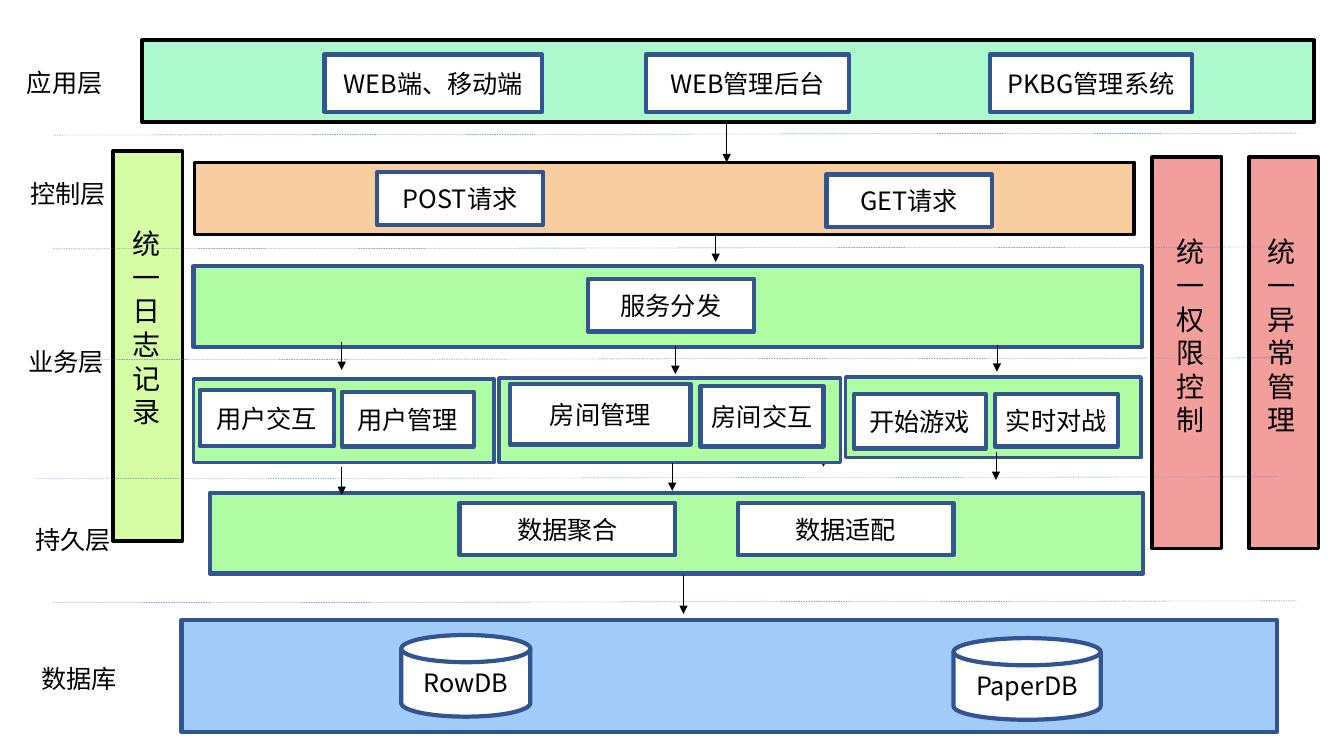
import pptx
import pptx.util
import pptx.dml.color
import pptx.enum.dml
import pptx.enum.shapes
import pptx.enum.text
import pptx.oxml.ns
from lxml import etree

Pt = pptx.util.Pt
Kind = pptx.enum.shapes.MSO_SHAPE
Align = pptx.enum.text.PP_ALIGN
qn = pptx.oxml.ns.qn

BLACK, NAVY, BLUE, WHITE = "000000", "325491", "4472C4", "FFFFFF"
MINT, PEACH, LIME = "ADF9CE", "F8CEA0", "D6FDA4"
PINK, GREEN, SKY = "F29E9C", "B0FCA3", "A3CBFA"


def color(code):
    return pptx.dml.color.RGBColor.from_string(code)


class Board:
    font = "Noto Sans CJK SC"

    def __init__(self, deck):
        self.slide = deck.slides.add_slide(deck.slide_layouts[6])
        self.shapes = self.slide.shapes

    def words(self, frame, text, size, align):
        para = frame.paragraphs[0]
        para.alignment = align
        run = para.add_run()
        run.text = text
        for name, value in {"name": self.font, "size": Pt(size)}.items():
            setattr(run.font, name, value)
        run.font.color.rgb = color(BLACK)
        east = etree.SubElement(run._r.get_or_add_rPr(), qn("a:ea"))
        east.set("typeface", self.font)

    def bar(self, x, y, w, h, fill, edge=NAVY, width=3, kind=Kind.RECTANGLE):
        shape = self.shapes.add_shape(kind, Pt(x), Pt(y), Pt(w), Pt(h))
        shape.shadow.inherit = False
        shape.fill.solid()
        shape.fill.fore_color.rgb = color(fill)
        shape.line.color.rgb = color(edge)
        shape.line.width = Pt(width)
        return shape

    def box(self, text, x, y, w, h, kind=Kind.RECTANGLE):
        frame = self.bar(x, y, w, h, WHITE, kind=kind).text_frame
        style = {
            "word_wrap": True,
            "vertical_anchor": pptx.enum.text.MSO_ANCHOR.MIDDLE,
            "margin_left": Pt(3),
            "margin_right": Pt(3),
        }
        for name, value in style.items():
            setattr(frame, name, value)
        self.words(frame, text, 18, Align.CENTER)

    def label(self, text, x, y, w=115.9, h=28.8, size=18):
        frame = self.shapes.add_textbox(Pt(x), Pt(y), Pt(w), Pt(h)).text_frame
        style = {
            "word_wrap": True,
            "auto_size": pptx.enum.text.MSO_AUTO_SIZE.SHAPE_TO_FIT_TEXT,
        }
        for name, value in style.items():
            setattr(frame, name, value)
        self.words(frame, text, size, Align.LEFT)

    def line(self, x, y, dx, dy, edge, width):
        link = self.shapes.add_connector(
            pptx.enum.shapes.MSO_CONNECTOR.STRAIGHT,
            Pt(x), Pt(y), Pt(x + dx), Pt(y + dy))
        link.line.color.rgb = color(edge)
        link.line.width = Pt(width)
        etree.SubElement(link._element.spPr, qn("a:effectLst"))
        return link

    def arrow(self, x, y, drop=20.2):
        link = self.line(x, y, 0, drop, BLACK, 0.5)
        stroke = link._element.spPr.find(qn("a:ln"))
        etree.SubElement(stroke, qn("a:tailEnd")).set("type", "triangle")

    def dash(self, x, y):
        link = self.line(x, y, 887.8, -1.4, BLUE, 0.25)
        link.line.dash_style = pptx.enum.dml.MSO_LINE.DASH


def main():
    deck = pptx.Presentation()
    deck.slide_width, deck.slide_height = Pt(960), Pt(540)
    board = Board(deck)

    # Arrow mostly covered by the room group
    board.arrow(588.2, 313.2)

    # Layer bars and groups
    for bar in (
        (101.5, 28.8, 837.4, 58.3, MINT, BLACK),
        (139, 115.9, 671, 51.8, PEACH, BLACK, 2.5),
        (138.2, 190.1, 677.5, 57.6, GREEN),
        (138.2, 270.7, 214.6, 59.8, GREEN, NAVY, 2.5),
        (356.4, 270, 244.1, 60.5, GREEN, NAVY, 2.5),
        (604.1, 269.3, 211, 57.6, GREEN, NAVY, 2.5),
        (149.8, 352.1, 666.7, 57.6, GREEN),
        (129.6, 442.8, 782.6, 79.9, SKY),
    ):
        board.bar(*bar)

    # Side pillars with one character per line
    for text, x, y, h, fill, left, top in (
        ("统一日志记录", 80.6, 108, 278.6, LIME, 87.8, 158.4),
        ("统一权限控制", 823, 112.3, 279.4, PINK, 833, 164.2),
        ("统一异常管理", 892.1, 112.3, 279.4, PINK, 898.6, 164.2),
    ):
        board.bar(x, y, 49.7, h, fill, BLACK, 2.5)
        board.label(text, left, top, 46.1, 152.6, 20)

    # Modules
    for box in (
        ("WEB端、移动端", 231.8, 38.9, 155.5, 41),
        ("WEB管理后台", 461.5, 38.9, 144.7, 41),
        ("PKBG管理系统", 707, 38.9, 144.7, 41),
        ("POST请求", 269.3, 123.1, 118.8, 37.4),
        ("GET请求", 590.4, 124.6, 118.1, 37.4),
        ("服务分发", 419.8, 199.4, 118.8, 37.4),
        ("用户交互", 142.6, 278.6, 95.8, 40.3),
        ("用户管理", 244.1, 280.1, 94.3, 38.9),
        ("房间管理", 364.3, 274.3, 128.9, 43.2),
        ("房间交互", 500.4, 275.8, 87.8, 43.2),
        ("开始游戏", 609.8, 281.5, 94.3, 38.9),
        ("实时对战", 710.6, 281.5, 87.8, 37.4),
        ("数据聚合", 328.3, 359.3, 154.1, 37.4),
        ("数据适配", 527, 359.3, 154.1, 37.4),
    ):
        board.box(*box)

    # Databases
    disk = Kind.FLOWCHART_MAGNETIC_DISK
    board.box("RowDB", 286.6, 453.6, 92.2, 58.3, disk)
    board.box("PaperDB", 681.1, 455.8, 105.1, 58.3, disk)

    # Flow between layers
    for arrow in (
        (519.1, 87.8, 28.1), (511.2, 167.8, 19.4), (488.2, 410.4, 28.1),
        (244.1, 244.1), (482.4, 247), (712.1, 246.2, 19.4),
        (244.1, 333.4), (480.2, 330.5), (711.4, 322.6),
    ):
        board.arrow(*arrow)

    # Layer dividers
    for x, y in ((38.9, 96.5), (38.2, 177.8), (36.7, 257),
                 (25.2, 342), (38.2, 430.6)):
        board.dash(x, y)

    # Layer names
    for text, x, y in (
        ("应用层", 12.2, 44.6),
        ("控制层", 14.4, 123.8),
        ("业务层", 13, 244.1),
        ("持久层", 18, 370.8),
        ("数据库", 22.3, 470.2),
    ):
        board.label(text, x, y)

    deck.save("out.pptx")


if __name__ == "__main__":
    main()
